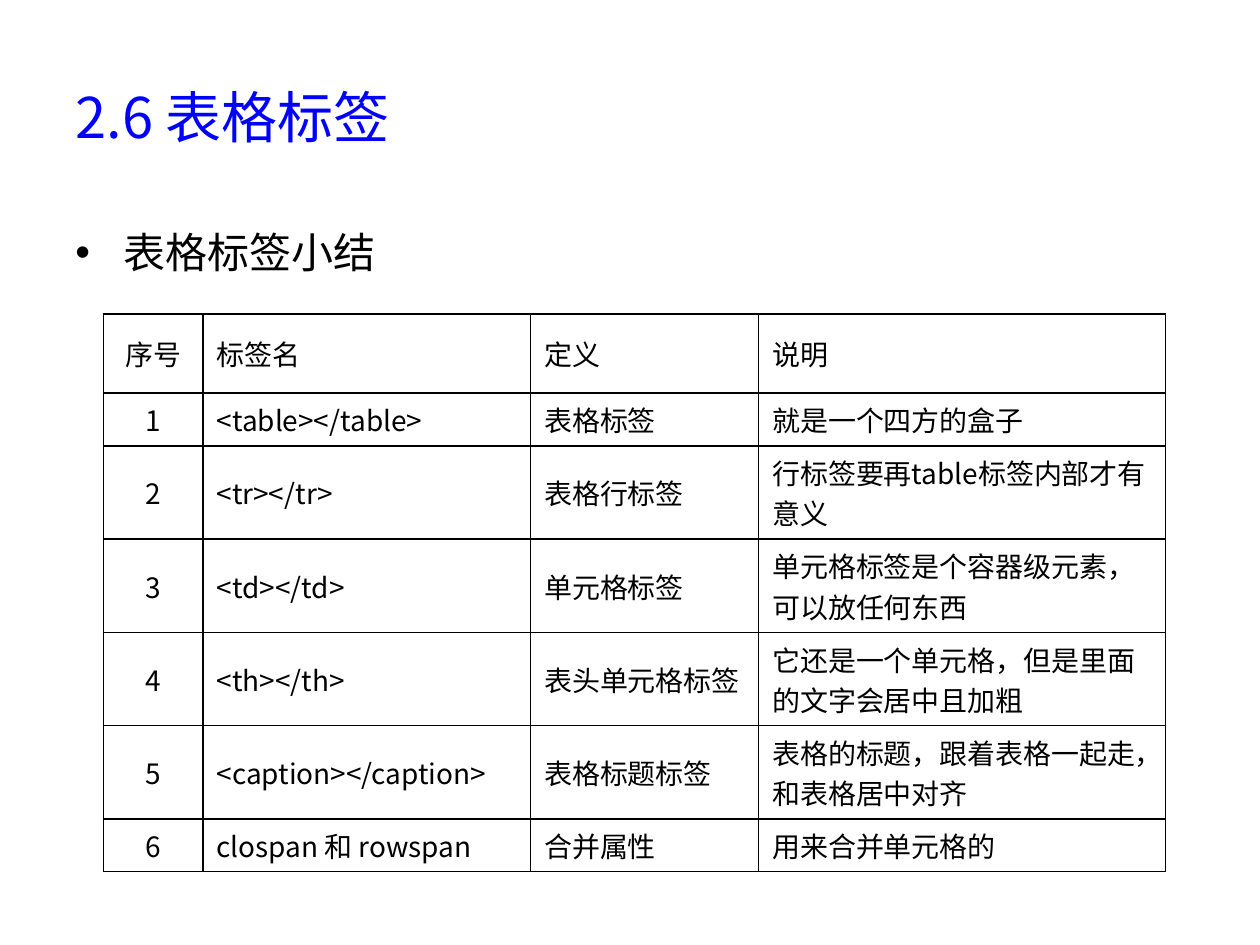
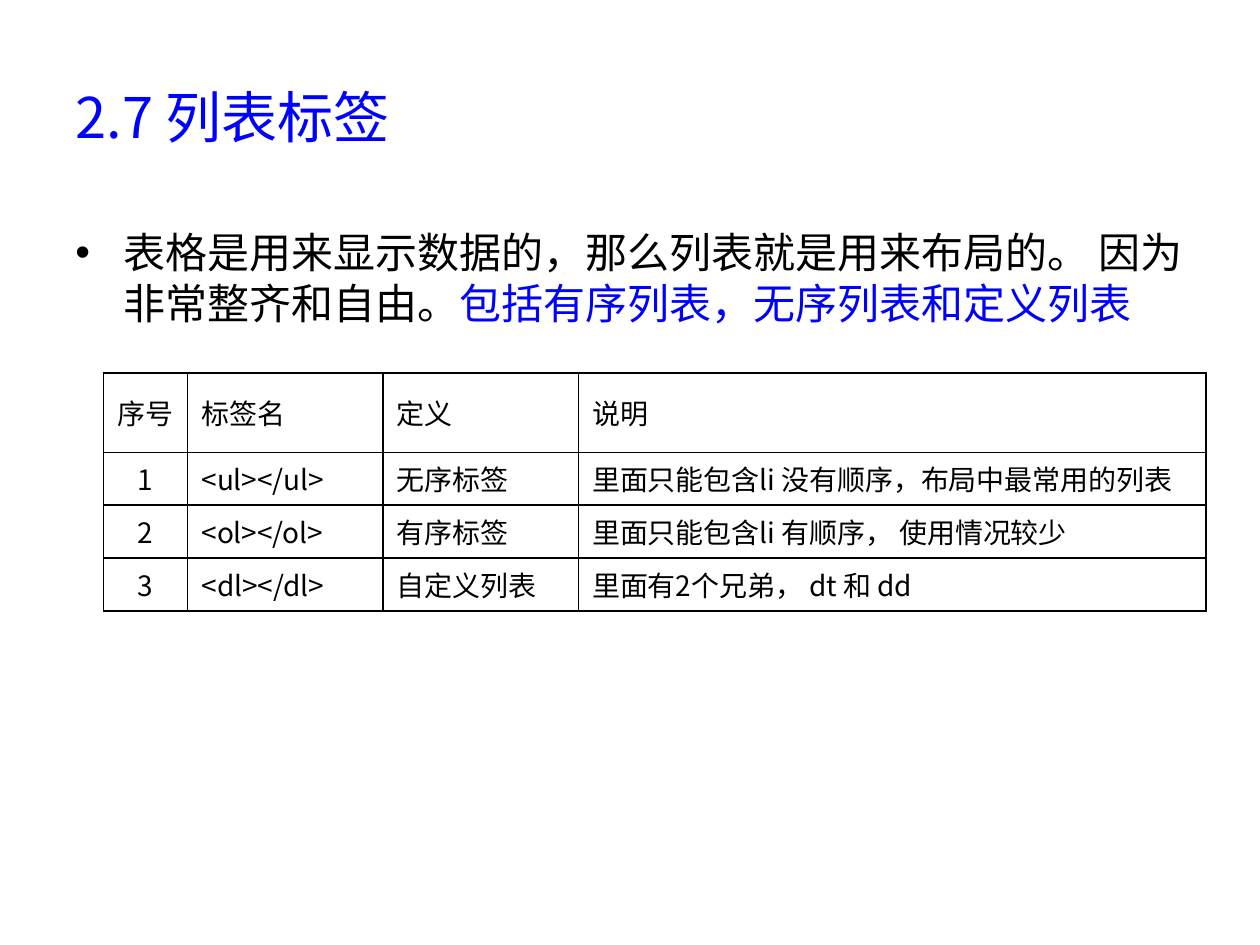
from dataclasses import dataclass

from lxml import etree
from pptx import Presentation
from pptx.dml.color import RGBColor
from pptx.enum.text import MSO_ANCHOR, PP_ALIGN
from pptx.oxml.ns import qn
from pptx.util import Inches, Pt

MIDDLE, TOP = MSO_ANCHOR.MIDDLE, MSO_ANCHOR.TOP
LEFT, CENTER = PP_ALIGN.LEFT, PP_ALIGN.CENTER


@dataclass(frozen=True)
class Theme:
    font: str = "Noto Sans CJK SC"
    accent: str = "0000FF"
    ink: str = "000000"
    paper: str = "FFFFFF"
    title_size: int = 32
    body_size: int = 24
    table_size: int = 16
    border_width: int = 1


THEME = Theme()
TITLE_BOX = (0.5, 0.3, 9, 1.25)
BODY_BOX = (0.5, 1.75, 9, 4.95)
TABLE_LEFT = 0.82
HEADER_HEIGHT, ROW_HEIGHT, TWO_LINE_HEIGHT = 0.63, 0.42, 0.74
HEADINGS = ("序号", "标签名", "定义", "说明")

TABLE_TAGS = [
    ("<table></table>", "表格标签", "就是一个四方的盒子"),
    ("<tr></tr>", "表格行标签", "行标签要再table标签内部才有意义"),
    ("<td></td>", "单元格标签", "单元格标签是个容器级元素，可以放任何东西"),
    ("<th></th>", "表头单元格标签", "它还是一个单元格，但是里面的文字会居中且加粗"),
    ("<caption></caption>", "表格标题标签", "表格的标题，跟着表格一起走，和表格居中对齐"),
    ("clospan 和 rowspan", "合并属性", "用来合并单元格的"),
]
LIST_TAGS = [
    ("<ul></ul>", "无序标签", "里面只能包含li 没有顺序，布局中最常用的列表"),
    ("<ol></ol>", "有序标签", "里面只能包含li 有顺序， 使用情况较少"),
    ("<dl></dl>", "自定义列表", "里面有2个兄弟， dt 和 dd"),
]


def add_run(paragraph, text, *, size, color=THEME.ink):
    run = paragraph.add_run()
    run.text = text
    run.font.size = Pt(size)
    run.font.name = THEME.font
    run.font.color.rgb = RGBColor.from_string(color)
    east_asian = etree.SubElement(run.font._element, qn("a:ea"))
    east_asian.set("typeface", THEME.font)


def add_text_frame(slide, box, anchor):
    text_box = slide.shapes.add_textbox(*map(Inches, box))
    text_frame = text_box.text_frame
    text_frame.word_wrap = True
    text_frame.vertical_anchor = anchor
    return text_frame


def add_title(slide, box, text):
    paragraph = add_text_frame(slide, box, MIDDLE).paragraphs[0]
    add_run(paragraph, text, size=THEME.title_size, color=THEME.accent)


def add_bullet(slide, box, parts):
    paragraph = add_text_frame(slide, box, TOP).paragraphs[0]
    paragraph.space_before = Pt(1.5)
    properties = paragraph._p.get_or_add_pPr()
    properties.set("marL", str(Inches(0.38)))
    properties.set("indent", str(-Inches(0.38)))
    etree.SubElement(properties, qn("a:buFont")).set("typeface", "Arial")
    etree.SubElement(properties, qn("a:buChar")).set("char", "•")
    for text, color in parts:
        add_run(paragraph, text, size=THEME.body_size, color=color)


def set_borders(cell):
    properties = cell._tc.get_or_add_tcPr()
    for position, side in enumerate(("lnL", "lnR", "lnT", "lnB")):
        line = etree.Element(qn(f"a:{side}"), w=str(Pt(THEME.border_width)))
        fill = etree.SubElement(line, qn("a:solidFill"))
        etree.SubElement(fill, qn("a:srgbClr"), val=THEME.ink)
        properties.insert(position, line)


def format_cell(cell, text, *, is_header, is_number):
    cell.vertical_anchor = MIDDLE
    if is_header:
        cell.fill.background()
    else:
        cell.fill.solid()
        cell.fill.fore_color.rgb = RGBColor.from_string(THEME.paper)
    if not is_number:
        cell.margin_left = cell.margin_right = Inches(0.11)
    paragraph = cell.text_frame.paragraphs[0]
    paragraph.alignment = CENTER if is_number else LEFT
    add_run(paragraph, text, size=THEME.table_size)
    set_borders(cell)


def add_tag_table(slide, left, top, widths, tags, two_line_rows):
    rows = [HEADINGS] + [(str(number), *tag) for number, tag in enumerate(tags, 1)]
    heights = [HEADER_HEIGHT] + [
        TWO_LINE_HEIGHT if number in two_line_rows else ROW_HEIGHT
        for number in range(1, len(rows))
    ]
    frame = slide.shapes.add_table(
        len(rows), len(widths),
        Inches(left), Inches(top), Inches(sum(widths)), Inches(sum(heights)),
    )
    table = frame.table
    table.first_row = table.horz_banding = False
    for column, width in zip(table.columns, widths):
        column.width = Inches(width)
    for row_index, (texts, height) in enumerate(zip(rows, heights)):
        table.rows[row_index].height = Inches(height)
        for column_index, text in enumerate(texts):
            format_cell(
                table.cell(row_index, column_index), text,
                is_header=row_index == 0, is_number=column_index == 0,
            )


def add_summary_slide(presentation, title, bullet, *, top, widths, tags, two_line_rows=()):
    slide = presentation.slides.add_slide(presentation.slide_layouts[6])
    add_title(slide, TITLE_BOX, title)
    add_bullet(slide, BODY_BOX, bullet)
    add_tag_table(slide, TABLE_LEFT, top, widths, tags, two_line_rows)


def main():
    presentation = Presentation()
    presentation.slide_width = Inches(10)
    presentation.slide_height = Inches(7.5)
    add_summary_slide(
        presentation, "2.6 表格标签", [("表格标签小结", THEME.ink)],
        top=2.49, widths=(0.79, 2.6, 1.81, 3.23), tags=TABLE_TAGS,
        two_line_rows=range(2, 6),
    )
    add_summary_slide(
        presentation, "2.7 列表标签",
        [
            ("表格是用来显示数据的，那么列表就是用来布局的。 因为非常整齐和自由。", THEME.ink),
            ("包括有序列表，无序列表和定义列表", THEME.accent),
        ],
        top=2.96, widths=(0.67, 1.55, 1.55, 4.98), tags=LIST_TAGS,
    )
    presentation.save("out.pptx")


if __name__ == "__main__":
    main()
